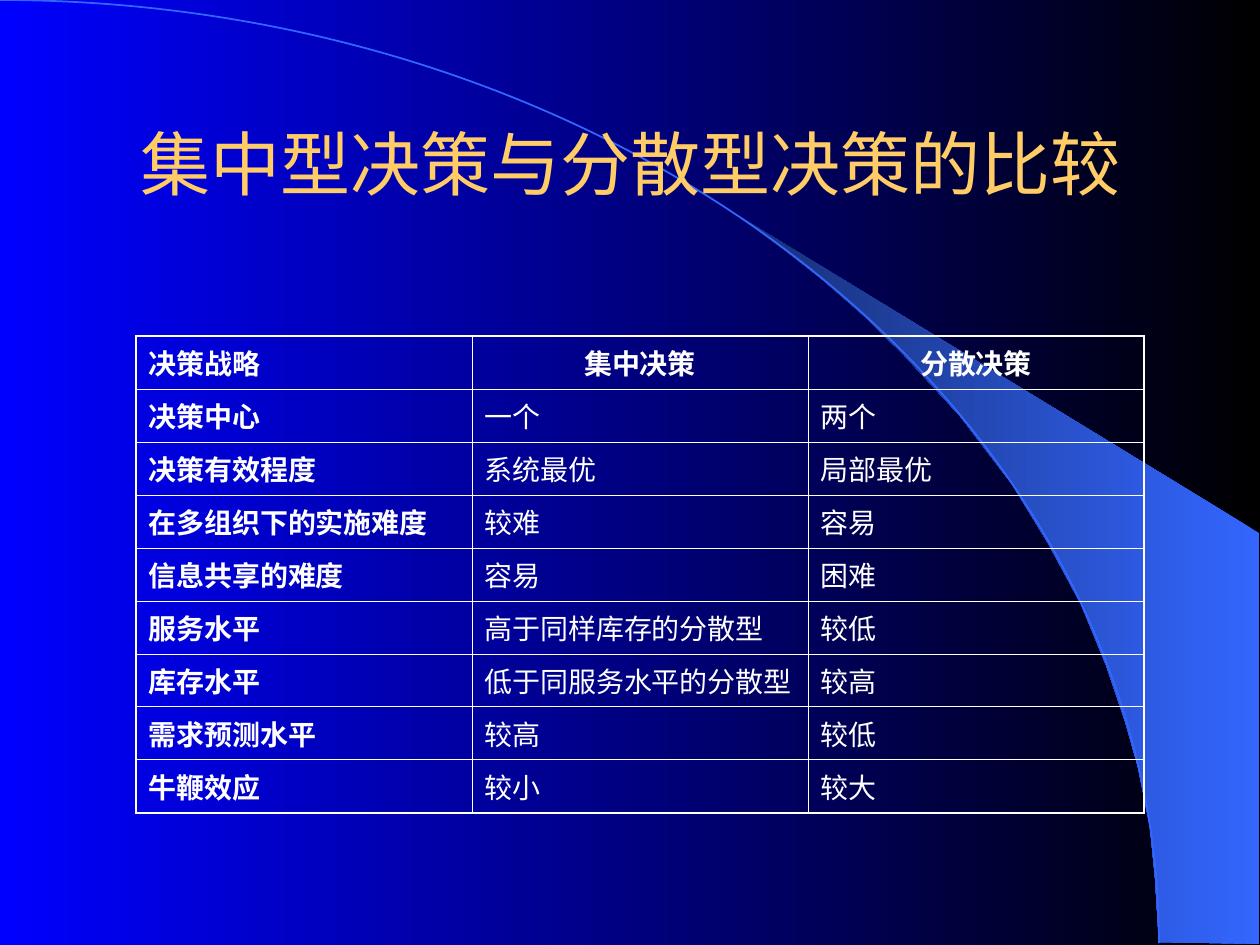
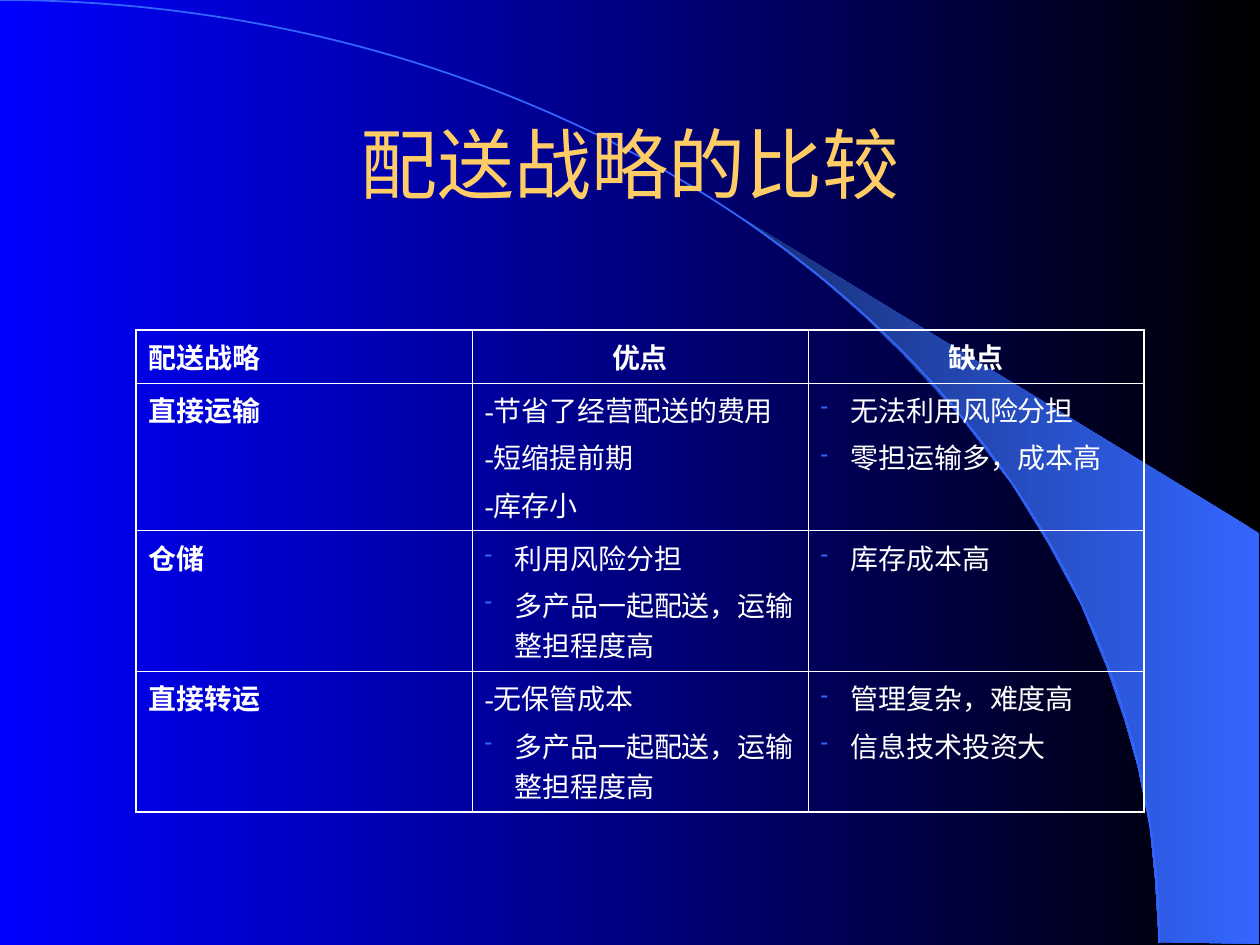
from dataclasses import dataclass

from lxml.etree import SubElement
from pptx import Presentation
from pptx.dml.color import RGBColor
from pptx.dml.fill import FillFormat
from pptx.enum.shapes import MSO_SHAPE as Preset
from pptx.enum.text import MSO_ANCHOR as Anchor
from pptx.enum.text import MSO_AUTO_SIZE as AutoSize
from pptx.enum.text import PP_ALIGN as Align
from pptx.oxml.ns import qn
from pptx.slide import Slide, SlideLayout
from pptx.table import _Cell as Cell
from pptx.text.text import _Paragraph as Paragraph
from pptx.util import Emu, Inches, Pt

EMU_PER_PX = Inches(1) / 126
SLIDE_WIDTH, SLIDE_HEIGHT = 1260, 945
TITLE_BOX = (95, 84, 1071, 158)
TABLE_LEFT, COLUMN_WIDTH, BULLET_INDENT = 136, 336, 30
ARC_RADIUS_X, ARC_RADIUS_Y = 1159, 943
BEAM_OUTLINE = [
    (1159, 942), (1259, 944), (1259, 533), (742, 218), (786, 251), (823, 280),
    (863, 315), (902, 353), (960, 416), (1012, 484), (1048, 543), (1081, 604),
    (1106, 665), (1125, 721), (1138, 767), (1150, 827), (1155, 877),
]


@dataclass(frozen=True)
class Theme:
    """Colours, fonts and sizes in points shared by the slides."""

    night: str = "000000"
    blue: str = "0000FF"
    beam: str = "3366FF"
    beam_dark: str = "172F75"
    title: str = "FFCC66"
    text: str = "FFFFFF"
    title_font: str = "Arial"
    table_font: str = "Times New Roman"
    table_size: int = 16
    paragraph_gap: int = 4
    arc_line: float = 1
    outer_line: float = 1.08
    inner_line: float = 0.45


@dataclass(frozen=True)
class Bullet:
    """A table line with a hanging dash."""

    text: str


Line = str | Bullet
Row = tuple[list[Line], ...]


@dataclass(frozen=True)
class Comparison:
    """A slide that compares strategies in a table."""

    title: str
    title_size: int
    table_top: int
    row_heights: list[int]
    rows: list[Row]


THEME = Theme()

DECISIONS = Comparison(
    "集中型决策与分散型决策的比较", 40, 336, [48] * 9,
    [
        (["决策战略"], ["集中决策"], ["分散决策"]),
        (["决策中心"], ["一个"], ["两个"]),
        (["决策有效程度"], ["系统最优"], ["局部最优"]),
        (["在多组织下的实施难度"], ["较难"], ["容易"]),
        (["信息共享的难度"], ["容易"], ["困难"]),
        (["服务水平"], ["高于同样库存的分散型"], ["较低"]),
        (["库存水平"], ["低于同服务水平的分散型"], ["较高"]),
        (["需求预测水平"], ["较高"], ["较低"]),
        (["牛鞭效应"], ["较小"], ["较大"]),
    ],
)

SHARED_LOAD = Bullet("多产品一起配送，运输整担程度高")
DELIVERY = Comparison(
    "配送战略的比较", 44, 330, [47, 127, 121, 121],
    [
        (["配送战略"], ["优点"], ["缺点"]),
        (
            ["直接运输"],
            ["-节省了经营配送的费用", "-短缩提前期", "-库存小"],
            [Bullet("无法利用风险分担"), Bullet("零担运输多，成本高")],
        ),
        (["仓储"], [Bullet("利用风险分担"), SHARED_LOAD], [Bullet("库存成本高")]),
        (
            ["直接转运"],
            ["-无保管成本", SHARED_LOAD],
            [Bullet("管理复杂，难度高"), Bullet("信息技术投资大")],
        ),
    ],
)


def px(length: int) -> Emu:
    """Turn pixels into EMU."""
    return Emu(round(length * EMU_PER_PX))


def color(value: str) -> RGBColor:
    """Turn a hex string into a colour."""
    return RGBColor.from_string(value)


def fill_gradient(fill: FillFormat, right: str, left: str) -> None:
    """Blend from the right colour to the left one."""
    fill.gradient()
    fill.gradient_angle = 180
    for stop, value in zip(fill.gradient_stops, (right, left)):
        stop.color.rgb = color(value)


def style_paragraph(paragraph: Paragraph, name: str, size: int, value: str, bold: bool) -> None:
    """Set the font of a whole paragraph."""
    font = paragraph.font
    font.name, font.size, font.bold = name, Pt(size), bold
    font.color.rgb = color(value)


def decorate_layout(layout: SlideLayout, slide: Slide) -> None:
    """Give the layout its background, light beam and arc, built on a slide."""
    fill_gradient(layout.background.fill, THEME.night, THEME.blue)
    builder = slide.shapes.build_freeform(*BEAM_OUTLINE[0], scale=EMU_PER_PX)
    builder.add_line_segments(BEAM_OUTLINE[1:], close=True)
    beam = builder.convert_to_shape()
    fill_gradient(beam.fill, THEME.beam, THEME.beam_dark)
    beam.line.fill.background()
    arc = slide.shapes.add_shape(
        Preset.ARC, px(-ARC_RADIUS_X), px(0), px(2 * ARC_RADIUS_X), px(2 * ARC_RADIUS_Y)
    )
    arc.fill.background()
    arc.line.color.rgb = color(THEME.beam)
    arc.line.width = Pt(THEME.arc_line)
    for shape in (beam, arc):
        shape.shadow.inherit = False
        layout.shapes.element.append(shape.element)


def add_title(slide: Slide, text: str, size: int) -> None:
    """Place and format the title placeholder."""
    title = slide.shapes.title
    title.left, title.top, title.width, title.height = map(px, TITLE_BOX)
    frame = title.text_frame
    frame.text = text
    frame.auto_size = AutoSize.NONE
    frame.vertical_anchor = Anchor.MIDDLE
    paragraph = frame.paragraphs[0]
    paragraph.alignment = Align.CENTER
    style_paragraph(paragraph, THEME.title_font, size, THEME.title, False)


def add_bullet(paragraph: Paragraph) -> None:
    """Give a paragraph a small coloured hanging dash."""
    properties = paragraph._p.get_or_add_pPr()
    properties.set("marL", str(px(BULLET_INDENT)))
    properties.set("indent", str(-px(BULLET_INDENT)))
    bullet_color = SubElement(properties, qn("a:buClr"))
    SubElement(bullet_color, qn("a:srgbClr"), val=THEME.beam)
    SubElement(properties, qn("a:buSzPct"), val="80000")
    SubElement(properties, qn("a:buChar"), char="-")


def set_borders(cell: Cell, outer_sides: dict[str, bool]) -> None:
    """Draw cell borders, heavier along the edge of the table."""
    properties = cell._tc.get_or_add_tcPr()
    for side, is_outer in outer_sides.items():
        width = Pt(THEME.outer_line if is_outer else THEME.inner_line)
        border = SubElement(properties, qn(f"a:ln{side}"), w=str(width))
        fill = SubElement(border, qn("a:solidFill"))
        SubElement(fill, qn("a:srgbClr"), val=THEME.text)


def write_cell(cell: Cell, lines: list[Line], centered: bool, bold: bool) -> None:
    """Write the lines of one cell."""
    frame = cell.text_frame
    for index, line in enumerate(lines):
        paragraph = frame.add_paragraph() if index else frame.paragraphs[0]
        if isinstance(line, Bullet):
            add_bullet(paragraph)
        paragraph.text = line.text if isinstance(line, Bullet) else line
        if index:
            paragraph.space_before = Pt(THEME.paragraph_gap)
        if centered:
            paragraph.alignment = Align.CENTER
        style_paragraph(paragraph, THEME.table_font, THEME.table_size, THEME.text, bold)


def add_comparison_table(slide: Slide, comparison: Comparison) -> None:
    """Draw the table with bold header row and first column."""
    rows = comparison.rows
    row_count, column_count = len(rows), len(rows[0])
    table = slide.shapes.add_table(
        row_count, column_count, px(TABLE_LEFT), px(comparison.table_top),
        px(COLUMN_WIDTH * column_count), px(sum(comparison.row_heights)),
    ).table
    table.first_row = table.horz_banding = False
    for column in table.columns:
        column.width = px(COLUMN_WIDTH)
    for row_index, (row, height) in enumerate(zip(rows, comparison.row_heights)):
        table.rows[row_index].height = px(height)
        for column_index, lines in enumerate(row):
            cell = table.cell(row_index, column_index)
            is_header, is_label = row_index == 0, column_index == 0
            set_borders(cell, {
                "L": is_label,
                "R": column_index == column_count - 1,
                "T": is_header,
                "B": row_index == row_count - 1,
            })
            cell.fill.background()
            write_cell(cell, lines, is_header and not is_label, is_header or is_label)


def main() -> None:
    """Build and save the presentation."""
    presentation = Presentation()
    presentation.slide_width, presentation.slide_height = px(SLIDE_WIDTH), px(SLIDE_HEIGHT)
    layout = presentation.slide_layouts.get_by_name("Title Only")
    for index, comparison in enumerate((DECISIONS, DELIVERY)):
        slide = presentation.slides.add_slide(layout)
        if index == 0:
            decorate_layout(layout, slide)
        add_title(slide, comparison.title, comparison.title_size)
        add_comparison_table(slide, comparison)
    presentation.save("out.pptx")


if __name__ == "__main__":
    main()
